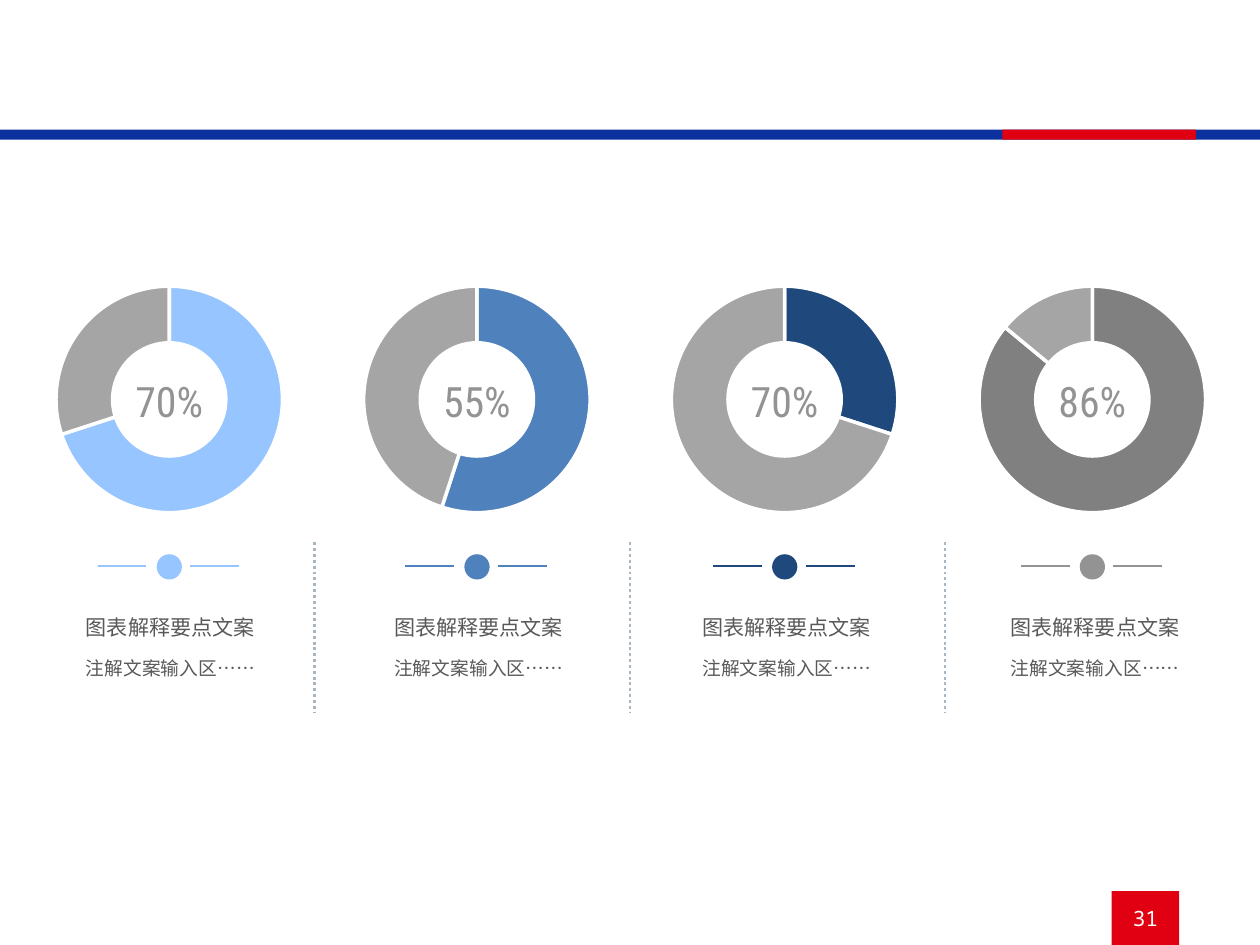
"""Build a slide with four captioned doughnut charts."""
import pptx
import pptx.util
import pptx.dml.color
import pptx.chart.data
import pptx.enum.chart
import pptx.enum.dml
import pptx.enum.shapes
import pptx.enum.text
import pptx.oxml
import pptx.oxml.ns
import lxml.etree

Inches = pptx.util.Inches
Pt = pptx.util.Pt
RGBColor = pptx.dml.color.RGBColor
Shape = pptx.enum.shapes.MSO_SHAPE
Align = pptx.enum.text.PP_ALIGN
Anchor = pptx.enum.text.MSO_ANCHOR
qn = pptx.oxml.ns.qn

WHITE = RGBColor(0xFF, 0xFF, 0xFF)
RED = RGBColor(0xE1, 0x00, 0x11)
NAVY = RGBColor(0x0A, 0x31, 0x9D)
SKY = RGBColor(0x96, 0xC5, 0xFF)
BLUE = RGBColor(0x4F, 0x81, 0xBD)
DEEP = RGBColor(0x1F, 0x49, 0x7D)
GREY = RGBColor(0x80, 0x80, 0x80)
PALE = RGBColor(0xA5, 0xA5, 0xA5)
MID = RGBColor(0x93, 0x93, 0x93)
DARK = RGBColor(0x59, 0x59, 0x59)
RULE = RGBColor(0xA8, 0xB7, 0xC4)

MONO = "Noto Sans Mono"
HAN = "Noto Sans CJK SC"
SLIM = "Roboto Condensed"

PITCH = (5.57 - 0.09) / 3
ITEMS = [
    ("70%", 70, SKY, SKY),
    ("55%", 55, BLUE, BLUE),
    ("70%", 30, DEEP, DEEP),
    ("86%", 86, GREY, MID),
]


class Page:
    def __init__(self, deck):
        self.slide = deck.slides.add_slide(deck.slide_layouts[6])
        self.shapes = self.slide.shapes
        self.frame = {
            "word_wrap": True,
            "margin_top": Inches(0.04),
            "margin_bottom": Inches(0.04),
            "margin_left": Inches(0.09),
            "margin_right": Inches(0.09),
        }

    def style(self, font, name, size, color):
        for key, val in {"name": name, "size": Pt(size)}.items():
            setattr(font, key, val)
        font.color.rgb = color

    def block(self, kind, box, color):
        shape = self.shapes.add_shape(kind, *map(Inches, box))
        shape.shadow.inherit = False
        shape.fill.solid()
        shape.fill.fore_color.rgb = color
        shape.line.fill.background()

    def text(self, box, lines, align, anchor, gap=0):
        frame = self.shapes.add_textbox(*map(Inches, box)).text_frame
        for key, val in {**self.frame, "vertical_anchor": anchor}.items():
            setattr(frame, key, val)
        for num, (words, name, size, color) in enumerate(lines):
            para = frame.add_paragraph() if num else frame.paragraphs[0]
            para.alignment = align
            if num:
                para.space_before = Pt(gap)
            run = para.add_run()
            run.text = words
            self.style(run.font, name, size, color)
            face = lxml.etree.SubElement(run.font._element, qn("a:ea"))
            face.set("typeface", name)

    def line(self, start, end, color, width, dash=None):
        kind = pptx.enum.shapes.MSO_CONNECTOR.STRAIGHT
        line = self.shapes.add_connector(kind, *map(Inches, start + end))
        lxml.etree.SubElement(line._element.spPr, qn("a:effectLst"))
        line.line.color.rgb = color
        line.line.width = Pt(width)
        if dash:
            line.line.dash_style = dash

    def ring(self, box, share, color):
        data = pptx.chart.data.CategoryChartData()
        data.categories = ["1", "2"]
        data.add_series("Series 1", [share, 100 - share])
        kind = pptx.enum.chart.XL_CHART_TYPE.DOUGHNUT
        chart = self.shapes.add_chart(kind, *map(Inches, box), data).chart
        for key in ("has_title", "has_legend"):
            setattr(chart, key, False)
        self.style(chart.font, MONO, 10, DARK)
        plot = chart.plots[0]
        plot.vary_by_categories = True
        for num, tint in enumerate((color, PALE)):
            form = plot.series[0].points[num].format
            form.fill.solid()
            form.fill.fore_color.rgb = tint
            form.line.color.rgb = WHITE
            form.line.width = Pt(1.5)
        root = chart._chartSpace
        root.find(".//" + qn("c:holeSize")).set("val", "80")
        area = root.find(".//" + qn("c:plotArea"))
        for old in area.findall(qn("c:layout")):
            area.remove(old)
        place = lxml.etree.Element(qn("c:layout"))
        manual = lxml.etree.SubElement(place, qn("c:manualLayout"))
        spots = {"layoutTarget": "inner", "xMode": "edge", "yMode": "edge",
                 "x": "0.13", "y": "0.08", "w": "0.74", "h": "0.83"}
        for key, val in spots.items():
            lxml.etree.SubElement(manual, qn("c:" + key)).set("val", val)
        area.insert(0, place)


def main():
    deck = pptx.Presentation()
    deck.slide_width = Inches(7.48)
    deck.slide_height = Inches(5.61)
    page = Page(deck)

    badge = (6.6, 5.29, 0.4, 0.32)
    page.block(Shape.RECTANGLE, badge, RED)
    page.block(Shape.RECTANGLE, (0, 0.77, 7.48, 0.06), NAVY)
    page.block(Shape.RECTANGLE, (5.95, 0.77, 1.15, 0.06), RED)
    page.text(badge, [("31", MONO, 9, WHITE)], Align.CENTER, Anchor.MIDDLE)

    for col, (label, share, color, mark) in enumerate(ITEMS):
        left = 0.09 + col * PITCH
        page.ring((left, 1.57, 1.83, 1.62), share, color)
        page.text((left, 2.18, 1.83, 0.4), [(label, SLIM, 17.9, MID)],
                  Align.CENTER, Anchor.MIDDLE)
        if col:
            page.line((1.87 * col, 3.22), (1.87 * col, 4.23), RULE, 1.25,
                      pptx.enum.dml.MSO_LINE.ROUND_DOT)
        for shift in (0.49, 1.04):
            start = left + shift
            page.line((start, 3.36), (start + 0.29, 3.36), mark, 0.5)
        page.block(Shape.OVAL, (left + 0.84, 3.29, 0.15, 0.15), mark)
        page.text((0.42 + 1.83 * col, 3.61, 1.37, 0.51),
                  [("图表解释要点文案", HAN, 9, DARK),
                   ("注解文案输入区……", HAN, 8, DARK)],
                  Align.LEFT, Anchor.TOP, 7)

    deck.save("out.pptx")


if __name__ == "__main__":
    main()
